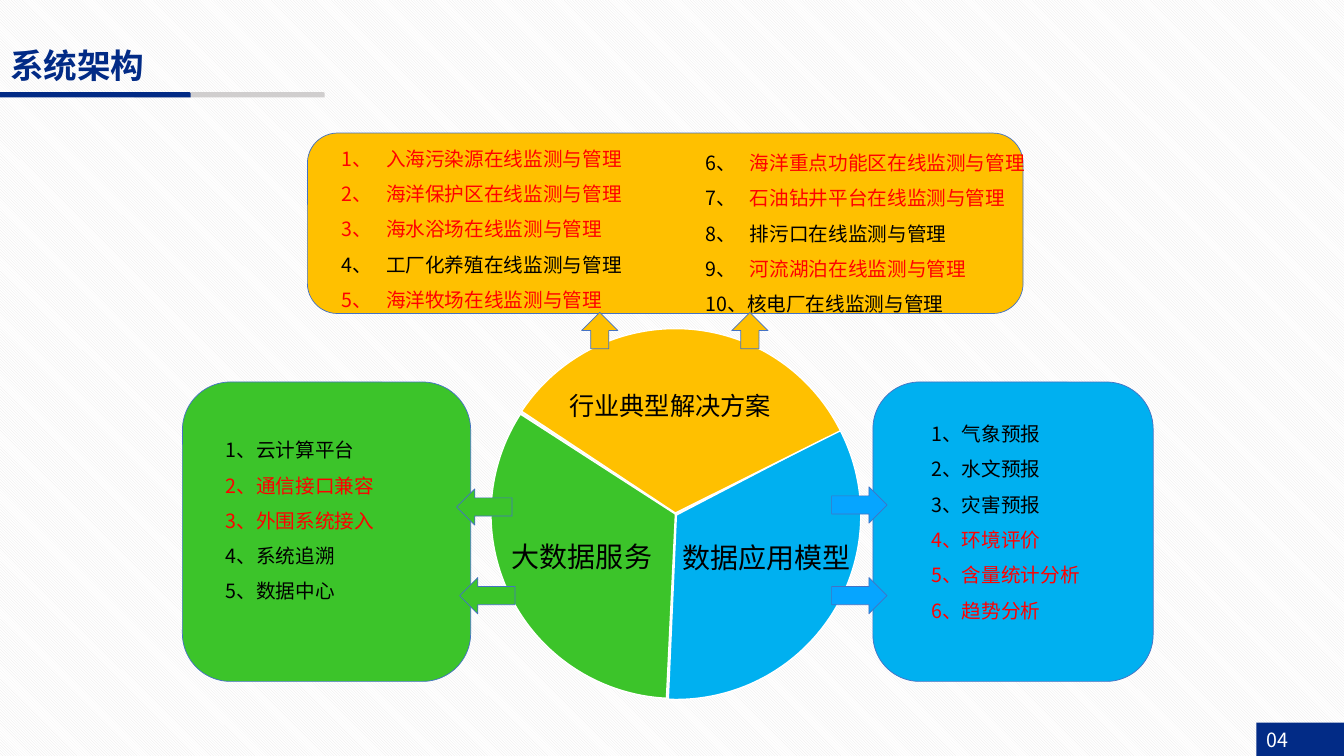
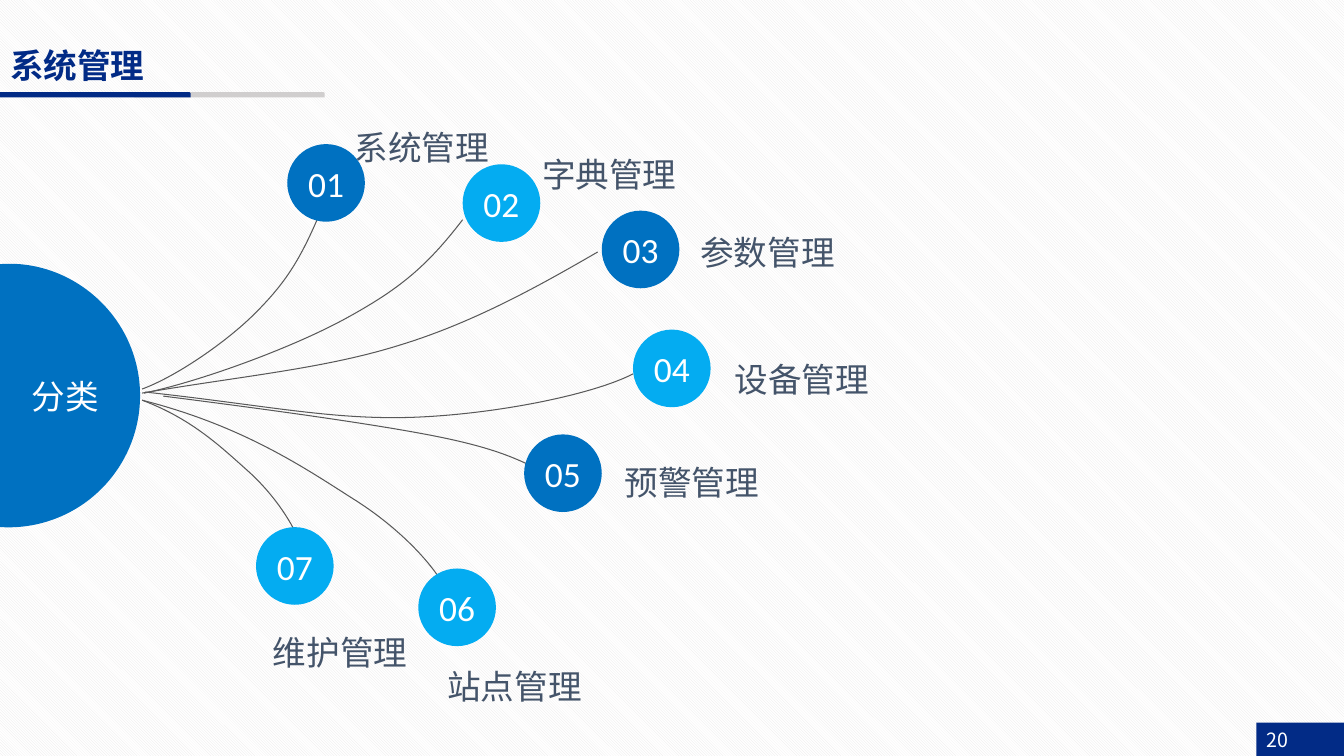
from dataclasses import dataclass
from lxml.etree import SubElement
from pptx import Presentation
from pptx.dml.color import RGBColor as Rgb
from pptx.enum.dml import MSO_PATTERN as Pat
from pptx.enum.shapes import MSO_SHAPE as Kind
from pptx.enum.text import MSO_ANCHOR as Anchor, MSO_AUTO_SIZE as Fit, PP_ALIGN as Align
from pptx.oxml.ns import qn
from pptx.util import Inches, Pt


@dataclass(frozen=True)
class Theme:
    # colours
    navy: str = "022B86"
    grey: str = "D0CECE"
    hatch: str = "E7E6E6"
    white: str = "FFFFFF"
    black: str = "000000"
    red: str = "FF0000"
    gold: str = "FFC000"
    green: str = "3CC42A"
    sky: str = "00B0F0"
    azure: str = "06A5FF"
    edge: str = "4472C4"
    deep: str = "0071C1"
    light: str = "04ACF1"
    slate: str = "44546A"
    wire: str = "595959"
    # fonts and type sizes
    han: str = "Noto Sans CJK SC"
    sans: str = "Arial"
    digit: str = "Calibri"
    head: float = 24
    big: float = 20
    mid: float = 18
    small: float = 14
    count: float = 25.3
    # line pitch as a share of the type size
    tight: float = 1.2
    loose: float = 1.44
    wide: float = 1.8


ROWS = 75  # square cells, 75 to the slide's height
HIGH = Inches(7.5)
COLS = 133.33


def cell(n):
    return round(n * HIGH / ROWS)


def pairs(part):
    return list(zip(part[::2], part[1::2]))


def trace(start, parts, steps=24):
    """Points on an outline, which give its bounds."""
    spots = [start]
    for part in parts:
        knots = [spots[-1]] + pairs(part)
        for i in range(1, steps + 1):
            t, row = i / steps, knots
            while len(row) > 1:
                row = [(a + (c - a) * t, b + (d - b) * t)
                       for (a, b), (c, d) in zip(row, row[1:])]
            spots.append(row[0])
    return spots


class Deck:
    def __init__(self, look):
        self.look = look
        self.prs = Presentation()
        self.prs.slide_width, self.prs.slide_height = cell(COLS), HIGH
        fill = self.prs.slide_master.background.fill
        fill.patterned()
        fill.pattern = Pat.LIGHT_DOWNWARD_DIAGONAL
        fill.fore_color.rgb = Rgb.from_string(look.hatch)
        fill.back_color.rgb = Rgb.from_string(look.white)

    # shared frame: title, two rules, page number
    def page(self, layout, title, number):
        look = self.look
        self.slide = self.prs.slides.add_slide(self.prs.slide_layouts[layout])
        head = self.place(self.slide.shapes.title, 0, 4, 34.7, 5)
        head.text_frame.text = title
        self.style(head, look.head, look.navy, bold=True)
        for left, tone in ((13.3, look.grey), (0, look.navy)):
            self.shape(Kind.SNIP_1_RECTANGLE, left, 9.15, 18.9, 0.5, tone)
        tag = self.shape(Kind.RECTANGLE, COLS - 8.7, 71.7, 8.7, 3.4, look.navy)
        tag.text_frame.text = number
        self.style(tag, look.small, look.white)

    def place(self, box, x, y, w, h):
        box.left, box.top, box.width, box.height = map(cell, (x, y, w, h))
        return box

    def inset(self, box, left=0, right=0):
        frame = box.text_frame
        frame.margin_left, frame.margin_right = cell(left), cell(right)
        frame.margin_top = frame.margin_bottom = 0

    def ink(self, run, size, tone, font, bold=False):
        run.font.name, run.font.size, run.font.bold = font, Pt(size), bold
        run.font.color.rgb = Rgb.from_string(tone)
        SubElement(run.font._element, qn("a:ea")).set("typeface", self.look.han)

    def style(self, box, size, tone, font=None, bold=False, lead=None,
              align=Align.LEFT, anchor=Anchor.TOP, wrap=True):
        frame = box.text_frame
        frame.word_wrap, frame.auto_size = wrap, Fit.NONE
        frame.vertical_anchor = anchor
        for para in frame.paragraphs:
            para.alignment = align
            para.line_spacing = Pt(size * (lead or self.look.tight))
            for run in para.runs:
                self.ink(run, size, tone, font or self.look.han, bold)

    def paint(self, item, fill=None, line=None, width=0.5):
        item.shadow.inherit = False
        if fill:
            item.fill.solid()
            item.fill.fore_color.rgb = Rgb.from_string(fill)
        else:
            item.fill.background()
        if line:
            item.line.color.rgb = Rgb.from_string(line)
            item.line.width = Pt(width)
        else:
            item.line.fill.background()
        return item

    def shape(self, kind, x, y, w, h, fill, line=None, width=0.5):
        item = self.slide.shapes.add_shape(kind, *map(cell, (x, y, w, h)))
        return self.paint(item, fill, line, width)

    def text(self, x, y, w, h, words, size, tone, **more):
        box = self.slide.shapes.add_textbox(*map(cell, (x, y, w, h)))
        box.text_frame.text = words
        self.style(box, size, tone, wrap=False, **more)

    # a bar in a line of the list starts its red part
    def list(self, slot, x, y, w, h, lines, hang=0):
        look = self.look
        box = self.place(self.slide.placeholders[slot], x, y, w, h)
        box.element.getparent().append(box.element)  # in front of its panel
        frame = box.text_frame
        frame.text = "\n".join(line.replace("|", "") for line in lines)
        self.style(box, look.small, look.black, lead=look.wide, wrap=not hang)
        for para, line in zip(frame.paragraphs, lines):
            para.space_before = para.space_after = Pt(0)
            plain, bar, hot = line.partition("|")
            if bar:
                para.runs[0].text = plain or hot
                if plain:
                    run = para.add_run()
                    run.text = hot
                self.ink(para.runs[-1], look.small, look.red, look.han)
            props = para._p.get_or_add_pPr()
            props.set("marL", str(cell(hang)))
            props.set("indent", str(-cell(hang)))
            SubElement(props, qn("a:buNone"))

    def pie(self, x, y, size, turn, start, end, fill):
        item = self.shape(Kind.PIE, x, y, size, size, fill, self.look.white, 1)
        item.rotation = turn
        for i, angle in enumerate((start, end)):
            item.adjustments[i] = angle * 0.6

    # outline of curves (three points a part) and lines (one point a part)
    def free(self, start, *parts, closed=False, **more):
        first, *rest = [(cell(x), cell(y)) for x, y in trace(start, parts)]
        form = self.slide.shapes.build_freeform(*first, scale=1.0)
        form.add_line_segments(rest, close=closed)
        item = form.convert_to_shape()
        route = next(item.element.iter(qn("a:path")))
        for step in list(route):
            route.remove(step)
        for tag, part in [("a:moveTo", start)] + [
                ("a:cubicBezTo" if len(p) == 6 else "a:lnTo", p) for p in parts]:
            step = SubElement(route, qn(tag))
            for x, y in pairs(part):
                knot = SubElement(step, qn("a:pt"))
                knot.set("x", str(cell(x) - item.left))
                knot.set("y", str(cell(y) - item.top))
        if closed:
            SubElement(route, qn("a:close"))
        return self.paint(item, **more)

    def disc(self, x, y, words, fill):
        look = self.look
        item = self.shape(Kind.OVAL, x, y, 7.7, 7.7, fill)
        item.text_frame.text = words
        self.inset(item)
        self.style(item, look.count, look.white, look.digit,
                   align=Align.CENTER, anchor=Anchor.MIDDLE)


def build_frame(deck):
    look = deck.look
    deck.page(4, "系统架构", "04")

    # wheel of three equal parts
    deck.pie(48.8, 32.8, 36.6, 62.5, 270, 30, look.sky)
    deck.pie(48.7, 32.7, 36.6, 62.8, 30, 150, look.green)
    deck.pie(48.7, 32.6, 36.6, 63.5, 150, 270, look.gold)
    for x, y, w, h, words, size in (
            (55.5, 38.2, 25.8, 4, "行业典型解决方案", look.mid),
            (49.8, 53, 16, 4.4, "大数据服务", look.big),
            (66.7, 53.1, 18.7, 4.4, "数据应用模型", look.big)):
        deck.text(x, y, w, h, words, size, look.black)

    # panels
    for x, y, w, h, fill in (
            (30.5, 13.2, 71, 17.9, look.gold),
            (18.1, 37.9, 28.6, 29.7, look.green),
            (86.6, 37.9, 27.8, 29.7, look.sky)):
        deck.shape(Kind.ROUNDED_RECTANGLE, x, y, w, h, fill, look.edge)

    # lists on the panels
    deck.list(1, 32.9, 12.9, 29.9, 18.7, (
        "|1、\t入海污染源在线监测与管理",
        "|2、\t海洋保护区在线监测与管理",
        "|3、\t海水浴场在线监测与管理",
        "4、\t工厂化养殖在线监测与管理",
        "|5、\t海洋牧场在线监测与管理"), hang=4.4)
    deck.list(2, 69, 13.3, 33.8, 18.7, (
        "6、\t|海洋重点功能区在线监测与管理",
        "7、\t|石油钻井平台在线监测与管理",
        "8、\t排污口在线监测与管理",
        "9、\t|河流湖泊在线监测与管理",
        "10、核电厂在线监测与管理"), hang=4.4)
    deck.list(3, 21.4, 41.8, 25.2, 18.7, (
        "1、云计算平台", "|2、通信接口兼容", "|3、外围系统接入",
        "4、系统追溯", "5、数据中心"))
    deck.list(4, 91.4, 40.2, 16.9, 22.2, (
        "1、气象预报", "2、水文预报", "3、灾害预报",
        "|4、环境评价", "|5、含量统计分析", "|6、趋势分析"))

    # arrows from the wheel to the panels
    for kind, w, fill, spots in (
            (Kind.UP_ARROW, 3.6, look.gold, ((57.7, 31), (72.6, 31))),
            (Kind.LEFT_ARROW, 5.5, look.green, ((45.3, 48.5), (45.6, 57.3))),
            (Kind.RIGHT_ARROW, 5.5, look.azure, ((82.5, 48.3), (82.5, 57.3)))):
        for x, y in spots:
            deck.shape(kind, x, y, w, 3.6, fill, look.edge)


def build_fan(deck):
    look = deck.look
    deck.page(5, "系统管理", "20")

    # hub at the left edge
    hub = deck.free(
        (0.1, 26.2), (4.3, 25.9, 8.5, 27.8, 11.2, 31.3),
        (14.8, 36, 14.8, 42.5, 11.2, 47.2), (7.6, 51.9, 1.3, 53.6, -4.2, 51.3),
        (-4.1, 27.1), (-2.8, 26.6, -1.3, 26.3, 0.1, 26.2),
        closed=True, fill=look.deep)
    hub.text_frame.text = "分类"
    deck.inset(hub, left=3.3)
    deck.style(hub, look.head, look.white, look.sans,
               align=Align.CENTER, anchor=Anchor.MIDDLE)

    # branches: number, colour, disc, name, its place, curve
    fan = (
        ("01", look.deep, (28.5, 14.3), "系统管理", (34.2, 11.3), (14.1, 38.6),
         (17.4, 37.4, 22.4, 34, 25.3, 31.1), (28.3, 28.1, 29.8, 25.8, 31.8, 21)),
        ("02", look.light, (45.9, 16.3), "字典管理", (52.8, 14), (14.3, 39),
         (20, 37.8, 29, 34.5, 34.3, 31.6), (39.6, 28.7, 42.3, 26.5, 45.9, 21.8)),
        ("03", look.deep, (59.7, 20.9), "参数管理", (68.5, 21.7), (14.1, 39),
         (24, 37.3, 32.2, 36.6, 39.8, 34.2), (47.3, 31.9, 54.1, 28, 59.3, 25)),
        ("04", look.light, (62.8, 32.7), "设备管理", (71.9, 34.3), (14.4, 38.9),
         (26.3, 40.2, 33, 41.7, 41.1, 41.4), (49.1, 41.1, 58.7, 39.2, 62.8, 37.1)),
        ("05", look.deep, (52, 43.1), "预警管理", (61, 44.5), (16.2, 39.3),
         (26.4, 40.6, 36.6, 42, 42.8, 43.2), (49, 44.4, 51.2, 45.5, 53.5, 46.6)),
        ("06", look.light, (41.5, 56.4), "站点管理", (43.4, 64.8), (14.1, 39.7),
         (23.9, 42.2, 29.9, 46.2, 34.9, 49.4), (39.9, 52.5, 43.3, 56.4, 44.3, 58.6)),
        ("07", look.light, (25.4, 52.3), "维护管理", (26.1, 61.4), (14.1, 39.7),
         (19.2, 41.6, 22.2, 44.6, 24.8, 46.9), (27.4, 49.3, 29.2, 52.2, 29.7, 53.8)))
    for *_, start, first, last in fan:
        deck.free(start, first, last, line=look.wire, width=0.75)
    for number, fill, spot, *_ in fan:
        deck.disc(*spot, number, fill)
    for _, _, _, name, spot, *_ in fan:
        deck.text(*spot, 15.3, 5.8, name, look.head, look.slate,
                  font=look.sans, lead=look.loose)


def main():
    deck = Deck(Theme())
    build_frame(deck)
    build_fan(deck)
    deck.prs.save("out.pptx")


if __name__ == "__main__":
    main()
